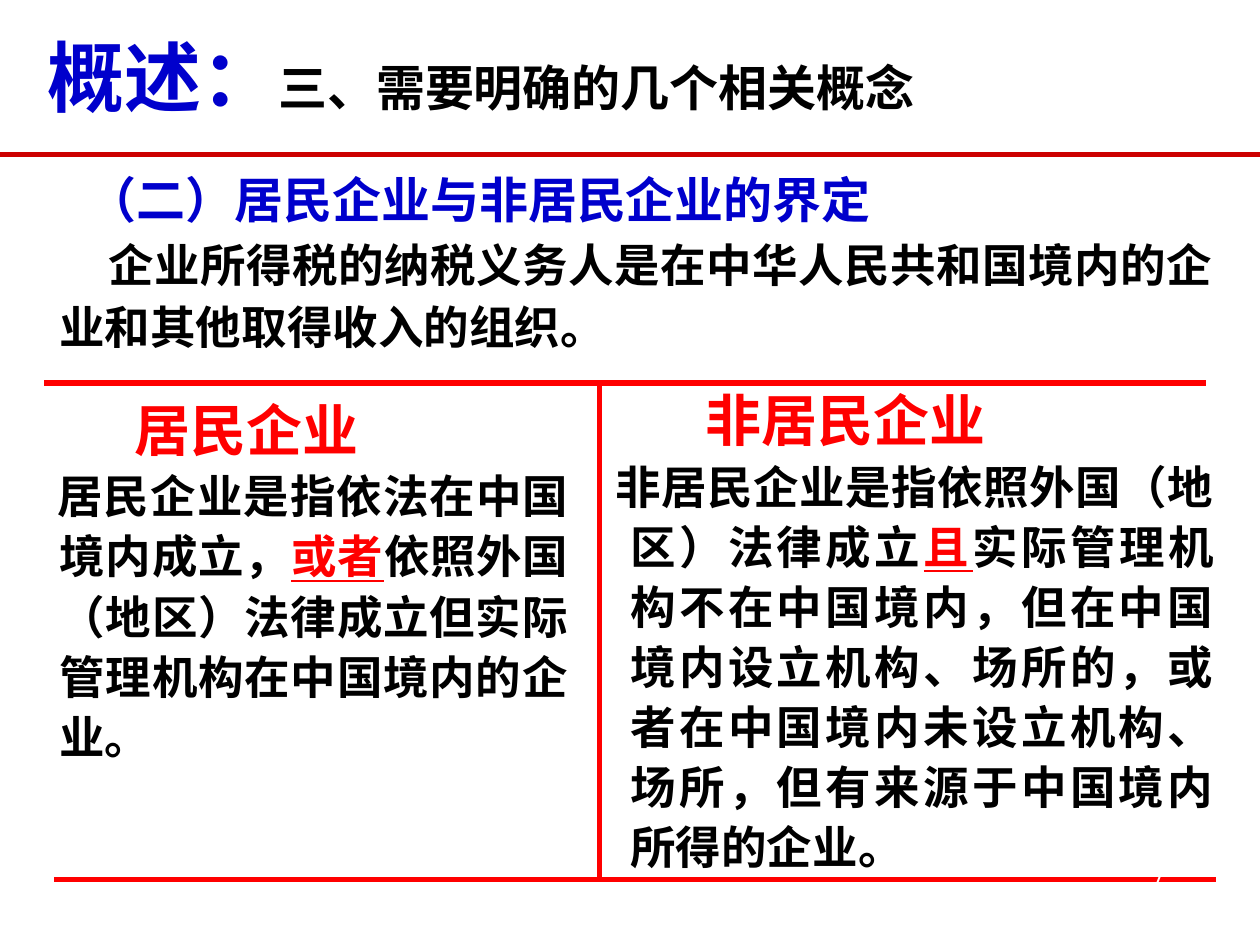
from dataclasses import dataclass

from lxml.etree import SubElement
from pptx import Presentation
from pptx.dml.color import RGBColor
from pptx.enum.shapes import MSO_CONNECTOR
from pptx.enum.text import MSO_ANCHOR, PP_ALIGN
from pptx.oxml.ns import qn
from pptx.slide import Slide
from pptx.util import Cm, Pt


@dataclass(frozen=True)
class Theme:
    font: str = "Arial"
    number_font: str = "DejaVu Sans"
    black: RGBColor = RGBColor(0x00, 0x00, 0x00)
    blue: RGBColor = RGBColor(0x00, 0x00, 0xCC)
    red: RGBColor = RGBColor(0xFF, 0x00, 0x00)
    dark_red: RGBColor = RGBColor(0xCC, 0x00, 0x00)
    white: RGBColor = RGBColor(0xFF, 0xFF, 0xFF)
    title: int = 44
    term: int = 32
    heading: int = 28
    body: int = 26
    number: int = 12
    rule: int = 3


THEME = Theme()


@dataclass(frozen=True)
class Span:
    text: str
    color: RGBColor = THEME.black
    size: int | None = None
    underline: bool | None = None


@dataclass(frozen=True)
class Para:
    spans: tuple[Span, ...]
    size: int | None = None
    margin: float = 0.95
    indent: float = 0
    line_spacing: float | None = None
    align: PP_ALIGN = PP_ALIGN.JUSTIFY
    font: str = THEME.font
    bold: bool = True


@dataclass(frozen=True)
class Block:
    left: float
    top: float
    width: float
    height: float
    paras: tuple[Para, ...]
    anchor: MSO_ANCHOR = MSO_ANCHOR.TOP


@dataclass(frozen=True)
class Rule:
    x1: float
    y1: float
    x2: float
    y2: float
    color: RGBColor = THEME.red


def draw_block(slide: Slide, block: Block) -> None:
    box = slide.shapes.add_textbox(
        Cm(block.left), Cm(block.top), Cm(block.width), Cm(block.height))
    frame = box.text_frame
    frame.word_wrap = True
    frame.vertical_anchor = block.anchor
    for index, para in enumerate(block.paras):
        paragraph = frame.add_paragraph() if index else frame.paragraphs[0]
        paragraph.alignment = para.align
        paragraph.line_spacing = para.line_spacing
        properties = paragraph._p.get_or_add_pPr()
        properties.set("marL", str(Cm(para.margin)))
        properties.set("indent", str(Cm(para.indent)))
        paragraph.font.name = para.font
        paragraph.font.bold = para.bold
        if para.size:
            paragraph.font.size = Pt(para.size)
        for span in para.spans:
            run = paragraph.add_run()
            run.text = span.text
            run.font.color.rgb = span.color
            run.font.underline = span.underline
            if span.size:
                run.font.size = Pt(span.size)


def draw_rule(slide: Slide, rule: Rule) -> None:
    line = slide.shapes.add_connector(
        MSO_CONNECTOR.STRAIGHT, Cm(rule.x1), Cm(rule.y1), Cm(rule.x2), Cm(rule.y2))
    line.line.color.rgb = rule.color
    line.line.width = Pt(THEME.rule)
    SubElement(line._element.spPr, qn("a:effectLst"))


def definition(term: str, indent: float, *spans: Span) -> tuple[Para, ...]:
    """A red term above the sentence that defines it."""
    return (
        Para((Span(term, THEME.red),), THEME.term, indent=1.51, line_spacing=1.1),
        Para(spans, THEME.body, indent=indent, line_spacing=1.1),
    )


TITLE = Block(0, 0.53, 24.13, 2.01, (
    Para((Span("概述：", THEME.blue, THEME.title),
          Span("三、需要明确的几个相关概念", size=THEME.heading)),
         margin=0.7, align=PP_ALIGN.LEFT),
), MSO_ANCHOR.MIDDLE)

INTRO = Block(0, 3.12, 24.71, 15.19, (
    Para((Span("（二）居民企业与非居民企业的界定", THEME.blue),),
         THEME.heading, indent=0.57, line_spacing=1.15),
    Para((Span("企业所得税的纳税义务人是在中华人民共和国境内的企业和其他取得收入的组织。"),),
         THEME.body, indent=0.98, line_spacing=1.15),
))

RESIDENT = Block(0, 7.72, 11.71, 10.39, definition(
    "居民企业", -0.04,
    Span("居民企业是指依法在中国境内成立，"),
    Span("或者", THEME.red, underline=True),
    Span("依照外国（地区）法律成立但实际管理机构在中国境内的企业。"),
))

NON_RESIDENT = Block(11.51, 7.52, 13.21, 10.59, definition(
    "非居民企业", -0.31,
    Span("非居民企业是指依照外国（地区）法律成立"),
    Span("且", THEME.red, underline=True),
    Span("实际管理机构不在中国境内，但在中国境内设立机构、场所的，"
         "或者在中国境内未设立机构、场所，但有来源于中国境内所得的企业。"),
))

PAGE_NUMBER = Block(18.21, 17.35, 5.51, 1.32, (
    Para((Span("7", THEME.white),), THEME.number, margin=0,
         align=PP_ALIGN.RIGHT, font=THEME.number_font, bold=False),
))

TITLE_RULE = Rule(0, 3.12, 25.4, 3.12, THEME.dark_red)
FRAME_TOP, FRAME_BOTTOM = 7.72, 17.73
FRAME_RULES = (
    Rule(1.09, FRAME_BOTTOM, 24.51, FRAME_BOTTOM),
    Rule(12.09, FRAME_TOP, 12.09, FRAME_BOTTOM),
    Rule(0.89, FRAME_TOP, 24.31, FRAME_TOP),
)


def main() -> None:
    presentation = Presentation()
    presentation.slide_width, presentation.slide_height = Cm(25.4), Cm(19.05)
    slide = presentation.slides.add_slide(presentation.slide_layouts[6])

    # Title and the rule below it
    draw_rule(slide, TITLE_RULE)
    draw_block(slide, TITLE)

    # Introduction and the two definitions
    for block in (INTRO, RESIDENT, NON_RESIDENT):
        draw_block(slide, block)

    # Lines around the definitions
    for rule in FRAME_RULES:
        draw_rule(slide, rule)

    # Page number
    draw_block(slide, PAGE_NUMBER)

    presentation.save("out.pptx")


if __name__ == "__main__":
    main()
